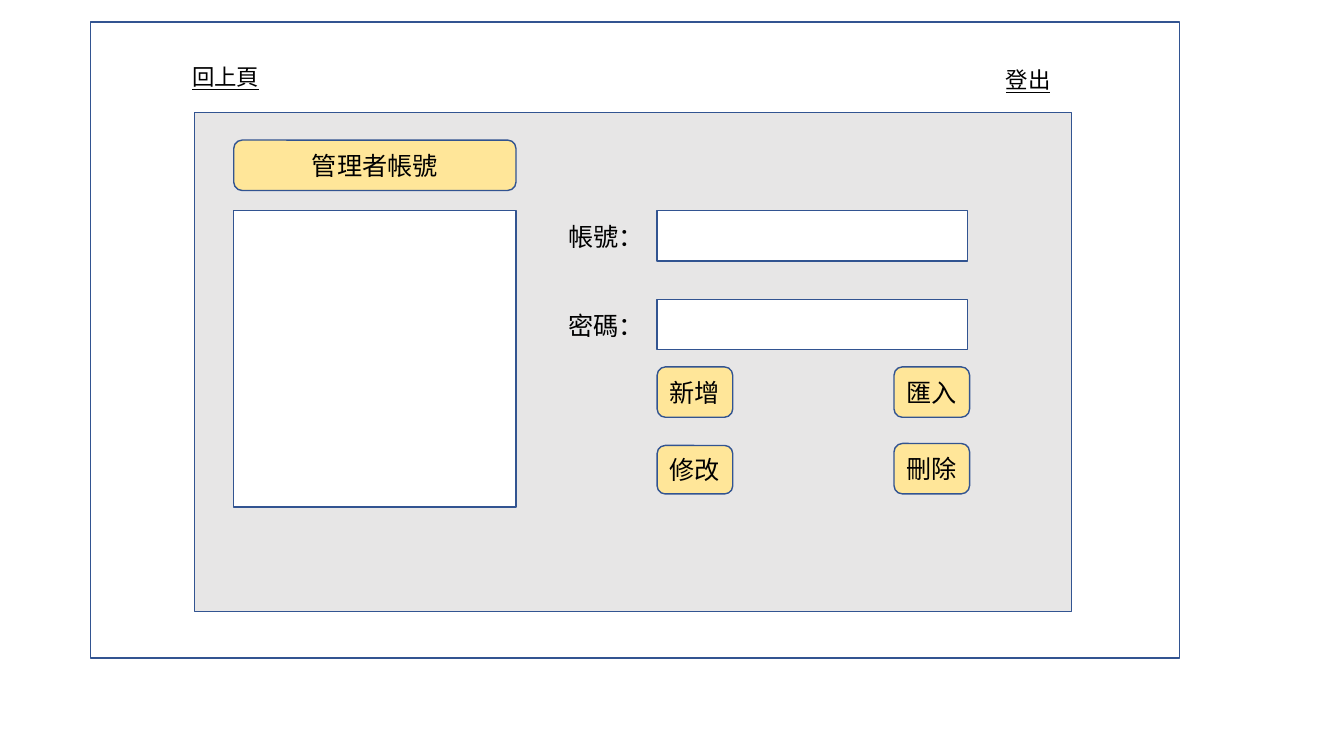
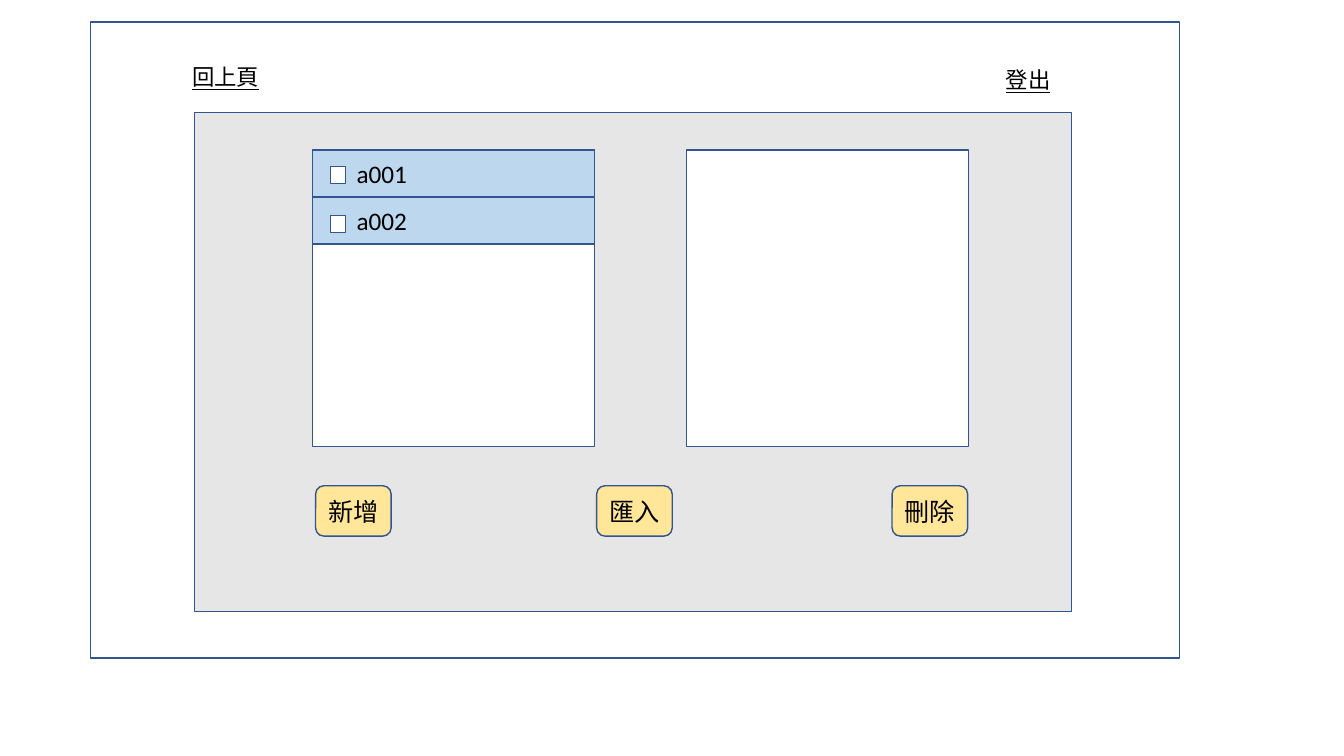
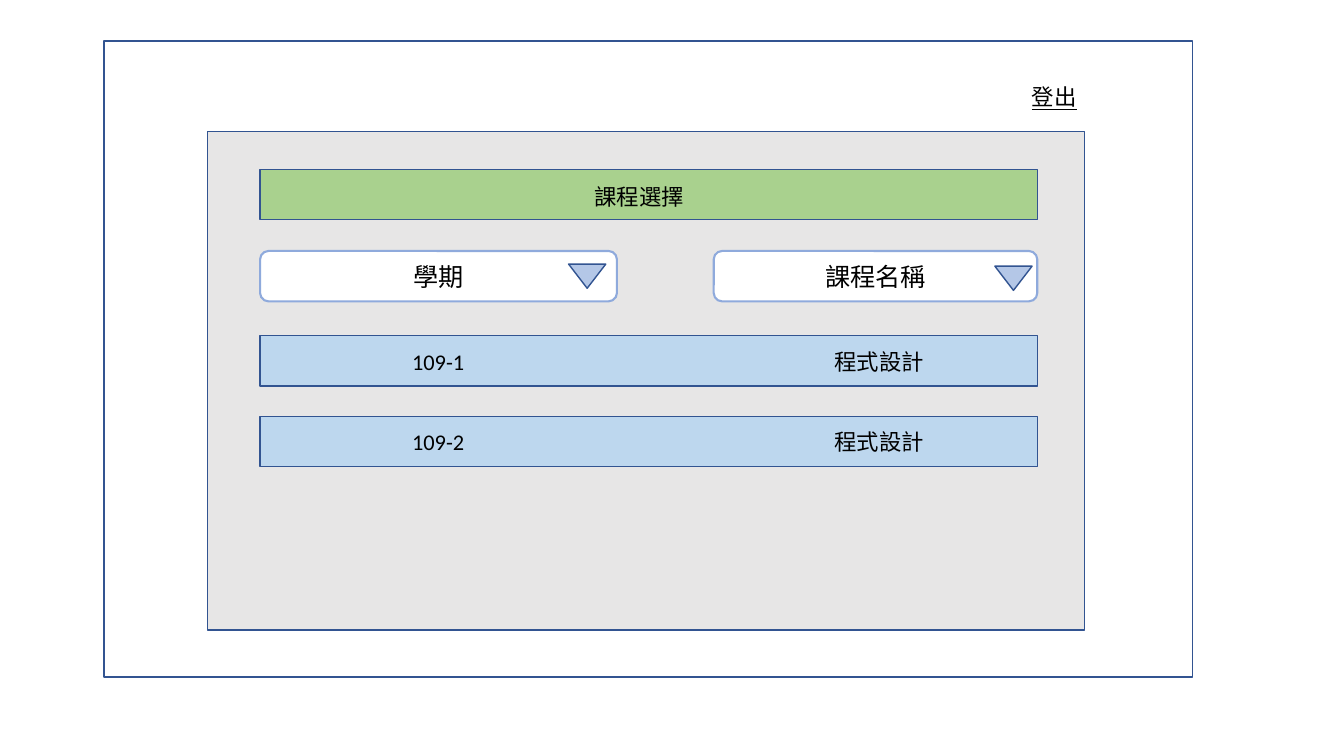
from pptx import Presentation
from pptx.dml.color import RGBColor
from pptx.enum.shapes import MSO_SHAPE as SHAPE
from pptx.enum.text import MSO_ANCHOR as ANCHOR, PP_ALIGN as ALIGN
from pptx.util import Pt

FONT = "Calibri"
BLACK = RGBColor(0x00, 0x00, 0x00)
WHITE = RGBColor(0xFF, 0xFF, 0xFF)
GREY = RGBColor(0xE7, 0xE6, 0xE6)
NAVY = RGBColor(0x32, 0x54, 0x91)
YELLOW = RGBColor(0xFF, 0xE6, 0x99)
SKY = RGBColor(0xBD, 0xD7, 0xEE)
GREEN = RGBColor(0xA9, 0xD1, 0x8E)
PERIWINKLE = RGBColor(0xB4, 0xC7, 0xE7)
SOFT_BLUE = RGBColor(0x8F, 0xAA, 0xDC)

LIST_SIZE = (201.6, 211.7)
BUTTON_W, BAR_H = 54, 36
LABEL_H = 26.6

prs = Presentation()
prs.slide_width, prs.slide_height = Pt(960), Pt(540)


def add(s, x, y, w, h, text="", *, shape=SHAPE.RECTANGLE, fill=WHITE, line=NAVY,
        line_w=1, size=18, align=ALIGN.CENTER, underline=False, left=7.2, right=7.2):
    """Add a shape, or a top-anchored text box when shape is None."""
    box = tuple(Pt(v) for v in (x, y, w, h))
    if shape is None:
        sp = s.shapes.add_textbox(*box)
    else:
        sp = s.shapes.add_shape(shape, *box)
        sp.shadow.inherit = False
        sp.fill.solid()
        sp.fill.fore_color.rgb = fill
        sp.line.color.rgb = line
        sp.line.width = Pt(line_w)
    if text:
        tf = sp.text_frame
        tf.word_wrap = True
        tf.vertical_anchor = ANCHOR.TOP if shape is None else ANCHOR.MIDDLE
        tf.margin_left, tf.margin_right = Pt(left), Pt(right)
        p = tf.paragraphs[0]
        p.alignment = align
        r = p.add_run()
        r.text = text
        r.font.name, r.font.size = FONT, Pt(size)
        r.font.color.rgb = BLACK
        r.font.underline = underline
    return sp


def add_page(x, y, logout_x, logout_y, back=False):
    """Add a slide with the window frame, grey panel and navigation links."""
    s = prs.slides.add_slide(prs.slide_layouts[6])
    add(s, x, y, 777.6, 454.3)
    add(s, x + 74, y + 64.5, 626.4, 356.4, fill=GREY)
    link = dict(shape=None, size=16, underline=True)
    add(s, logout_x, logout_y, 85, LABEL_H, "登出", **link)
    if back:
        add(s, 130.3, 41.8, 85, LABEL_H, "回上頁", align=ALIGN.LEFT, **link)
    return s


button = dict(shape=SHAPE.ROUNDED_RECTANGLE, fill=YELLOW)

# Slide 1: administrator accounts
s = add_page(64.8, 15.8, 691.9, 43.9, back=True)
add(s, 167, 100.1, LIST_SIZE[0], BAR_H, "管理者帳號", **button)
add(s, 167, 150.5, *LIST_SIZE)
for label, y in (("帳號：", 150.5), ("密碼：", 213.8)):
    add(s, 398.9, y + 4, 62, 30.2, label, shape=None, align=ALIGN.LEFT, right=0)
    add(s, 469.4, y, 221.8, BAR_H, shape=SHAPE.FLOWCHART_PROCESS)
for text, x, y, h in (("新增", 469.4, 262.1, BAR_H), ("匯入", 638.6, 262.1, BAR_H),
                      ("修改", 469.4, 318.2, 34.6), ("刪除", 638.6, 316.8, BAR_H)):
    add(s, x, y, BUTTON_W, h, text, **button)

# Slide 2: account list
s = add_page(64.8, 15.8, 691.9, 43.9, back=True)
for x in (223.2, 490.3):
    add(s, x, 107.3, *LIST_SIZE)
for account, y, check_y in (("a001", 107.3, 118.8), ("a002", 140.9, 154.1)):
    add(s, 223.2, y, LIST_SIZE[0], 33.4, account, fill=SKY, align=ALIGN.LEFT, left=31.5)
    add(s, 236.2, check_y, 10.8, 12.2)
for text, x in (("新增", 225.4), ("匯入", 426.2), ("刪除", 637.2)):
    add(s, x, 347, BUTTON_W, BAR_H, text, **button)

# Slide 3: course selection
s = add_page(74.2, 29.2, 710.6, 56.2)
label = dict(shape=None, size=16, align=ALIGN.LEFT)
BAR_X, BAR_W = 185.8, 555.1
add(s, BAR_X, 121, BAR_W, BAR_H, fill=GREEN)
add(s, 417.6, 127.4, 92.9, LABEL_H, "課程選擇", **label)
for text, x, w, arrow_x, arrow_y in (("學期", BAR_X, 254.9, 406.1, 188.6),
                                     ("課程名稱", 509.8, 231.1, 710.6, 190.1)):
    add(s, x, 179.3, w, BAR_H, text, shape=SHAPE.ROUNDED_RECTANGLE,
        line=SOFT_BLUE, line_w=1.5)
    arrow = add(s, arrow_x, arrow_y, 26.6, 17.3, shape=SHAPE.FLOWCHART_EXTRACT,
                fill=PERIWINKLE)
    arrow.rotation = 180
for term, y in (("109-1", 239.8), ("109-2", 297.4)):
    add(s, BAR_X, y, BAR_W, BAR_H, fill=SKY)
    for text, x in ((term, 287.3), ("程式設計", 589)):
        add(s, x, y + 5, 95.8, LABEL_H, text, **label)

prs.save("out.pptx")
